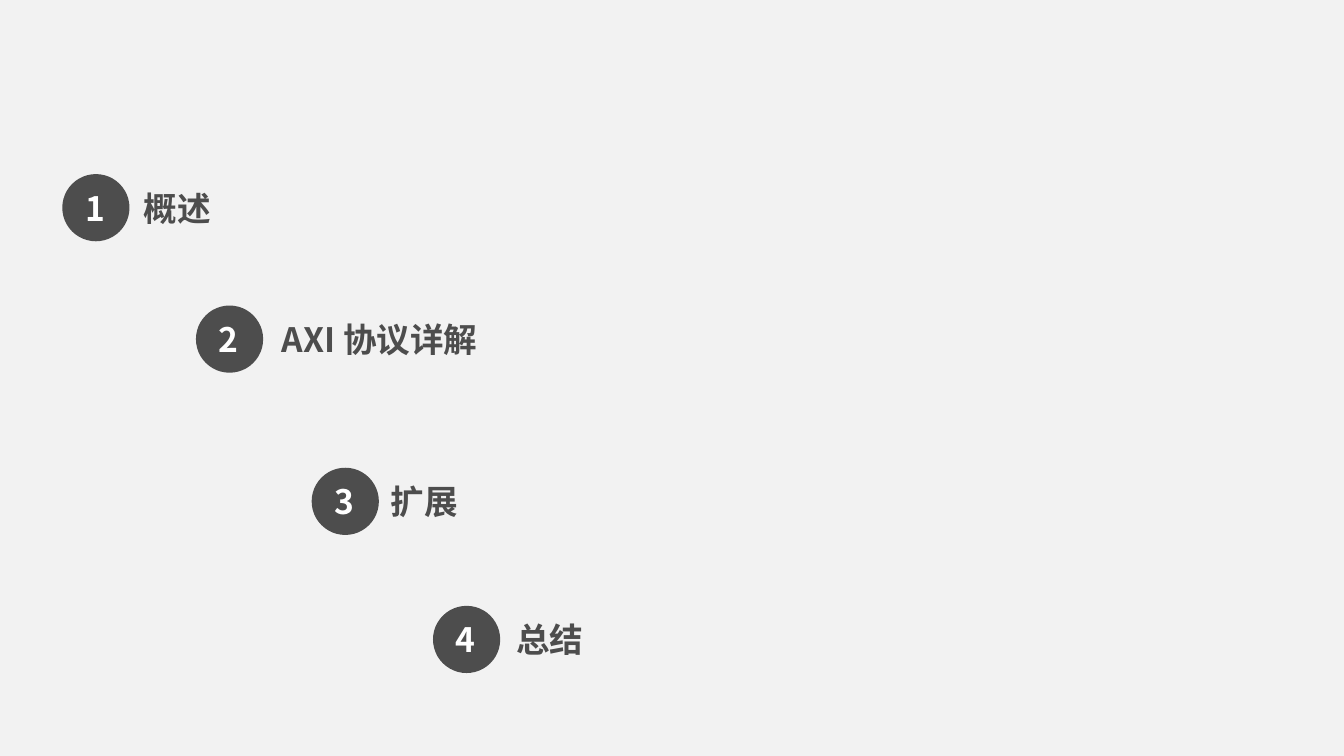
from dataclasses import dataclass

from pptx import Presentation
from pptx.dml.color import RGBColor as Rgb
from pptx.enum.shapes import MSO_SHAPE as Kind
from pptx.enum.text import MSO_AUTO_SIZE as Fit, PP_ALIGN as Align
from pptx.oxml.ns import qn
from pptx.shapes.shapetree import GroupShapes as Shapes
from pptx.util import Pt
from lxml.etree import SubElement as Sub


@dataclass(frozen=True)
class Theme:
    back: Rgb = Rgb(0xF2, 0xF2, 0xF2)
    dark: Rgb = Rgb(0x4D, 0x4D, 0x4D)
    light: Rgb = Rgb(0xFF, 0xFF, 0xFF)
    face: str = "Noto Sans CJK SC"
    size: int = 18


@dataclass(frozen=True)
class Item:
    name: str
    left: float
    top: float
    gap: float  # from the disc's left edge to the label box


THEME = Theme()
DISC = 36
DROP = 3.6  # from the disc's top to the text boxes
HIGH = 29.1
WIDE = 228.2
ITEMS = [
    Item("概述", 33.4, 93.3, 36.5),
    Item("AXI 协议详解", 105, 163.7, 39),
    Item("扩展", 167, 250.6, 35.3),
    Item("总结", 232, 324.6, 37.4),
]


def add_text(shapes: Shapes, text: str, left: float, top: float,
             wide: float, tint: Rgb, align: Align) -> None:
    box = shapes.add_textbox(Pt(left), Pt(top), Pt(wide), Pt(HIGH))
    frame = box.text_frame
    frame.word_wrap = True
    frame.auto_size = Fit.SHAPE_TO_FIT_TEXT
    para = frame.paragraphs[0]
    para.alignment = align
    run = para.add_run()
    run.text = text
    form = {"name": THEME.face, "size": Pt(THEME.size), "bold": True}
    for key, value in form.items():
        setattr(run.font, key, value)
    run.font.color.rgb = tint
    Sub(run.font._element, qn("a:ea"), typeface=THEME.face)


def add_disc(shapes: Shapes, left: float, top: float) -> None:
    disc = shapes.add_shape(Kind.OVAL, Pt(left), Pt(top), Pt(DISC), Pt(DISC))
    disc.shadow.inherit = False
    disc.fill.solid()
    disc.fill.fore_color.rgb = THEME.dark
    disc.line.fill.background()


def add_item(shapes: Shapes, num: int, item: Item) -> None:
    group = shapes.add_group_shape().shapes
    top = item.top + DROP
    add_text(group, item.name, item.left + item.gap, top, WIDE,
             THEME.dark, Align.LEFT)
    add_disc(group, item.left, item.top)
    add_text(group, str(num), item.left - 0.9, top, DISC + 0.7,
             THEME.light, Align.CENTER)


def main() -> None:
    deck = Presentation()
    deck.slide_width, deck.slide_height = Pt(720), Pt(405)
    slide = deck.slides.add_slide(deck.slide_layouts[6])
    fill = slide.background.fill
    fill.solid()
    fill.fore_color.rgb = THEME.back
    for num, item in enumerate(ITEMS, 1):
        add_item(slide.shapes, num, item)
    deck.save("out.pptx")


if __name__ == "__main__":
    main()
